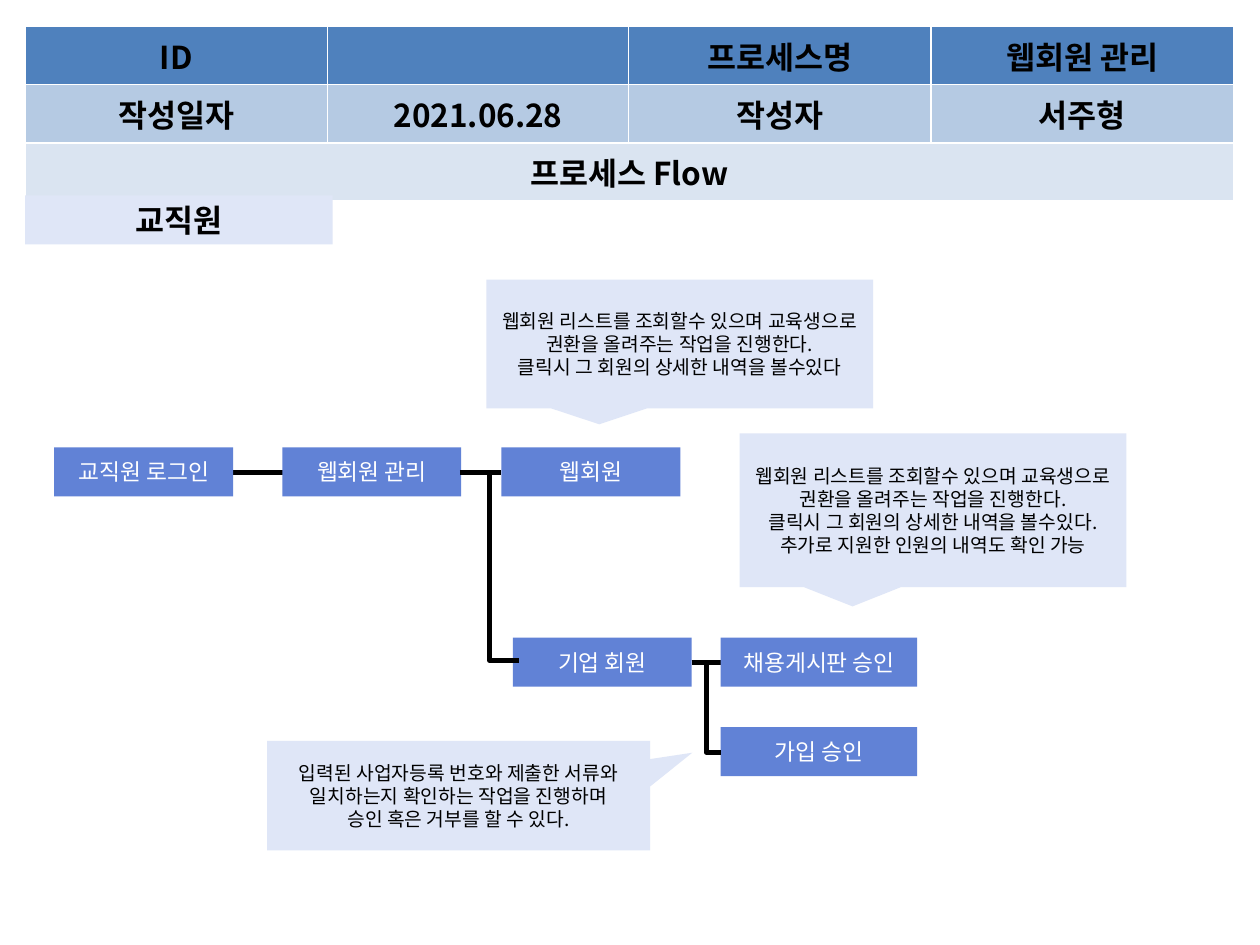
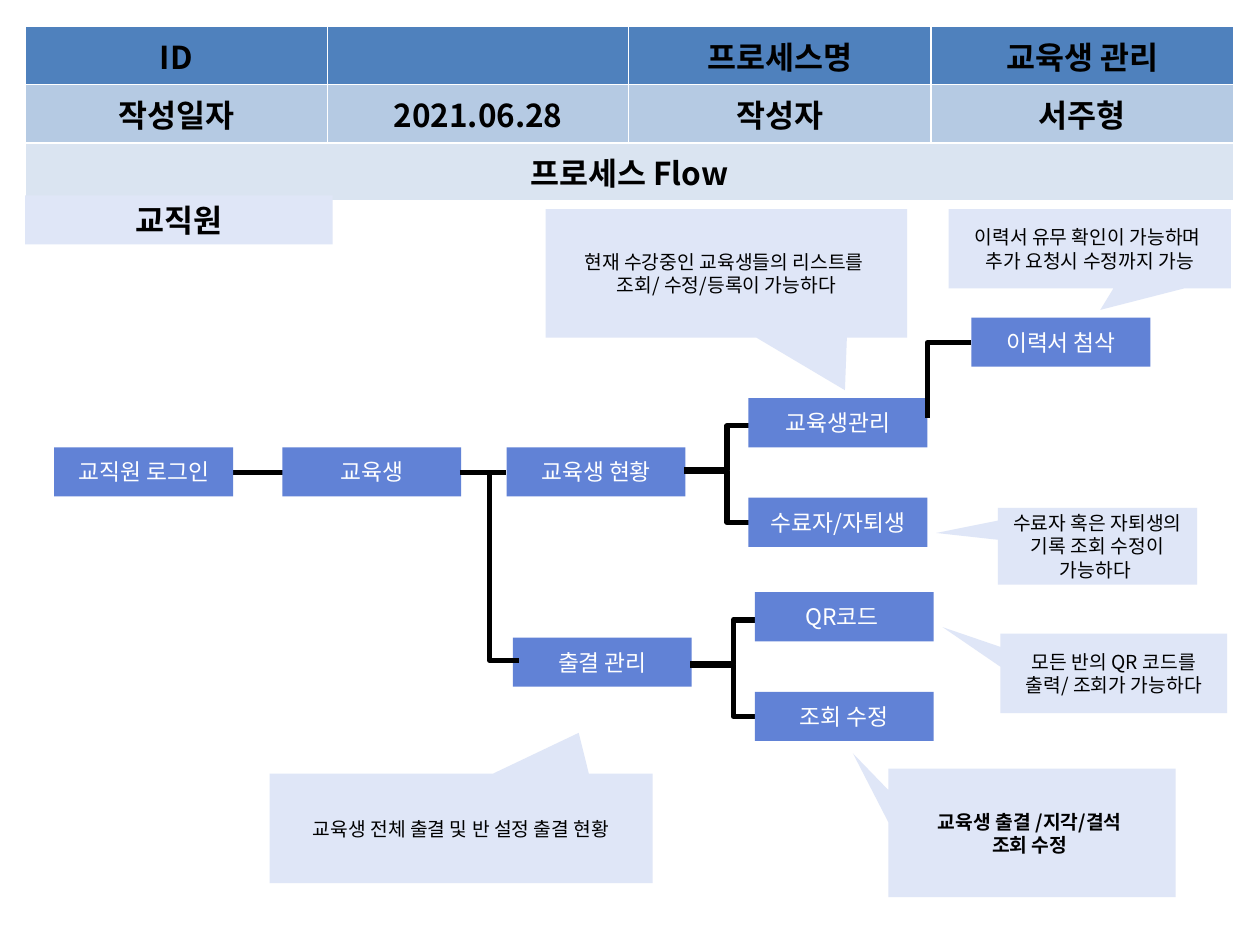
from lxml import etree
from pptx import Presentation
from pptx.dml.color import RGBColor
from pptx.enum.shapes import MSO_CONNECTOR, MSO_SHAPE
from pptx.enum.text import MSO_ANCHOR, PP_ALIGN
from pptx.oxml.ns import qn
from pptx.util import Inches, Pt

RECTANGLE, CALLOUT = MSO_SHAPE.RECTANGLE, MSO_SHAPE.RECTANGULAR_CALLOUT
STRAIGHT, ELBOW = MSO_CONNECTOR.STRAIGHT, MSO_CONNECTOR.ELBOW
CENTER, MIDDLE = PP_ALIGN.CENTER, MSO_ANCHOR.MIDDLE

FONT = "Noto Sans CJK KR"
COLORS = {
    "header": "4F81BD",
    "date row": "B5CAE3",
    "flow row": "DAE4F1",
    "pale": "DFE6F7",
    "step": "6182D6",
    "dark": "000000",
    "light": "FFFFFF",
}

# The grid: 100 columns and 75 rows of square cells
CELL = Inches(0.1)
STEP_WIDTH, STEP_HEIGHT = 14.2, 3.9
MAIN_ROW, BRANCH_ROW = 35.5, 50.6
MAIN_LINE = 37.5

deck = Presentation()
deck.slide_width, deck.slide_height = 100 * CELL, 75 * CELL


def write(frame, text, size=18, color="dark", bold=False):
    """Fill a text frame with centred paragraphs in one format."""
    frame.text = text
    frame.word_wrap = True
    for para in frame.paragraphs:
        para.alignment = CENTER
        for span in para.runs:
            span.font.name = FONT
            span.font.size = Pt(size)
            span.font.bold = bold
            span.font.color.rgb = RGBColor.from_string(COLORS[color])
            etree.SubElement(span.font._element, qn("a:ea"), typeface=FONT)


def draw(page, kind, place, text="", fill="step", tip=None, **style):
    """Draw a step, a note or a line at a place given in grid cells."""
    start_x, start_y, end_x, end_y = [round(cells * CELL) for cells in place]
    if kind in ("line", "elbow", "corner"):
        line = page.shapes.add_connector(
            STRAIGHT if kind == "line" else ELBOW, start_x, start_y, end_x, end_y)
        line.line.width = Pt(3)
        line.line.color.rgb = RGBColor.from_string(COLORS["dark"])
        properties = line._element.spPr
        etree.SubElement(properties, qn("a:effectLst"))
        if kind == "corner":
            properties.find(qn("a:prstGeom")).set("prst", "bentConnector2")
        return
    box = page.shapes.add_shape(
        CALLOUT if tip else RECTANGLE, start_x, start_y, end_x, end_y)
    box.shadow.inherit = False
    box.fill.solid()
    box.fill.fore_color.rgb = RGBColor.from_string(COLORS[fill])
    box.line.fill.background()
    if tip:
        box.adjustments[0], box.adjustments[1] = tip
    box.text_frame.vertical_anchor = MIDDLE
    write(box.text_frame, text, **style)


# Each item: kind, left, top, then width, text and, for notes, height and tip.
# Lines give the start and end points instead. Items run from back to front.
MEMBER_NOTE = "웹회원 리스트를 조회할수 있으며 교육생으로 권환을 올려주는 작업을 진행한다."
TRUNK = ("elbow", (36.5, MAIN_LINE, 41.2, 52.4))

member_flow = [
    ("step", 39.8, MAIN_ROW, STEP_WIDTH, "웹회원"),
    ("step", 40.7, BRANCH_ROW, STEP_WIDTH, "기업 회원"),
    ("step", 57.2, BRANCH_ROW, 15.6, "채용게시판 승인"),
    ("step", 57.2, 57.7, 15.6, "가입 승인"),
    ("note", (38.6, 22.2, 30.7, 10.2), (-0.208, 0.625),
     MEMBER_NOTE + "\n클릭시 그 회원의 상세한 내역을 볼수있다"),
    ("note", (21.2, 58.8, 30.4, 8.7), (0.61, -0.391),
     "입력된 사업자등록 번호와 제출한 서류와 일치하는지 확인하는 작업을 진행하며\n"
     "승인 혹은 거부를 할 수 있다."),
    TRUNK,
    ("elbow", (54.9, 52.6, 57.2, 59.7)),
    ("note", (58.7, 34.4, 30.7, 12.2), (-0.208, 0.625),
     MEMBER_NOTE + "\n클릭시 그 회원의 상세한 내역을 볼수있다.\n"
     "추가로 지원한 인원의 내역도 확인 가능"),
]

student_flow = [
    ("step", 40.2, MAIN_ROW, STEP_WIDTH, "교육생 현황"),
    ("step", 40.7, BRANCH_ROW, STEP_WIDTH, "출결 관리"),
    ("note", (21.4, 61.4, 30.4, 8.7), (0.307, -0.872),
     "교육생 전체 출결 및 반 설정 출결 현황"),
    TRUNK,
]
FORKS = [
    (54.3, 37.3, 59.4, 31.6, "교육생관리", "수료자/자퇴생"),
    (54.8, 52.7, 59.9, 47, "QR코드 ", "조회 수정"),
]
for start, middle, left, top, upper, lower in FORKS:
    student_flow += [
        ("elbow", (start, middle + 0.1, start + 6.8, middle + 4.15)),
        ("elbow", (start, middle, start + 6.8, middle - 3.5)),
        ("step", left, top, STEP_WIDTH, upper),
        ("step", left, top + 7.9, STEP_WIDTH, lower),
    ]
student_flow += [
    ("note", (79.2, 40.3, 15.8, 6.1), (-0.81, -0.172),
     "수료자 혹은 자퇴생의 기록 조회 수정이 가능하다 "),
    ("note", (43.3, 16.6, 28.7, 10.2), (0.328, 0.909),
     "현재 수강중인 교육생들의 리스트를 \v조회/ 수정/등록이 가능하다"),
    ("note", (79.4, 50.3, 18, 6.3), (-0.755, -0.583),
     "모든 반의 QR 코드를 출력/ 조회가 가능하다"),
    ("bold note", (70.5, 61, 22.8, 10.2), (-0.623, -0.618),
     "교육생 출결 /지각/결석 \n조회 수정 "),
    ("step", 77.1, 25.2, STEP_WIDTH, "이력서 첨삭"),
    ("corner", (77.1, 27.2, 73.6, 33.2)),
    ("note", (75.3, 16.6, 22.4, 6.3), (0.037, 0.77),
     "이력서 유무 확인이 가능하며 \n추가 요청시 수정까지 가능"),
]

PAGES = [
    ("웹회원 관리", "웹회원 관리", [(18.5, 39.8, MAIN_LINE), (54.9, 59.4, 52.6)], member_flow),
    ("교육생 관리", "교육생", [(18.5, 40.2, MAIN_LINE)], student_flow),
]
COLUMN_WIDTHS = [10.2, 13.8, 23.9, 24, 24]
ROW_FILLS = ["header", "date row", "flow row"]

for process, second_step, lines, flow in PAGES:
    page = deck.slides.add_slide(deck.slide_layouts[6])
    for start, end, height in lines:
        draw(page, "line", (start, height, end, height))

    # Header table
    table = page.shapes.add_table(
        3, 5, 2 * CELL, round(2.1 * CELL), round(96.1 * CELL), round(12.2 * CELL)).table
    table.horz_banding = False
    for column, width in zip(table.columns, COLUMN_WIDTHS):
        column.width = round(width * CELL)
    for row, fill in enumerate(ROW_FILLS):
        table.rows[row].height = round(4.07 * CELL)
        for cell in table.rows[row].cells:
            cell.fill.solid()
            cell.fill.fore_color.rgb = RGBColor.from_string(COLORS[fill])
            cell.vertical_anchor = MIDDLE
        table.cell(row, 0).merge(table.cell(row, 4 if row == 2 else 1))
    labels = {
        (0, 0): "ID", (0, 3): "프로세스명", (0, 4): process,
        (1, 0): "작성일자", (1, 2): "2021.06.28", (1, 3): "작성자", (1, 4): "서주형",
        (2, 0): "프로세스 Flow",
    }
    for (row, column), label in labels.items():
        write(table.cell(row, column).text_frame, label, bold=True)

    # Role tab and the steps both flows begin with
    draw(page, "tab", (2, 15.5, 24.4, 3.9), "교직원", fill="pale", bold=True)
    first_steps = [
        ("step", 4.3, MAIN_ROW, STEP_WIDTH, "교직원 로그인"),
        ("step", 22.4, MAIN_ROW, STEP_WIDTH, second_step),
    ]

    for kind, *details in first_steps + flow:
        if kind == "step":
            left, top, width, text = details
            draw(page, kind, (left, top, width, STEP_HEIGHT), text, size=13, color="light")
        elif kind in ("note", "bold note"):
            place, tip, text = details
            draw(page, kind, place, text, fill="pale", tip=tip, size=11,
                 bold=kind == "bold note")
        else:
            draw(page, kind, details[0])

deck.save("out.pptx")
